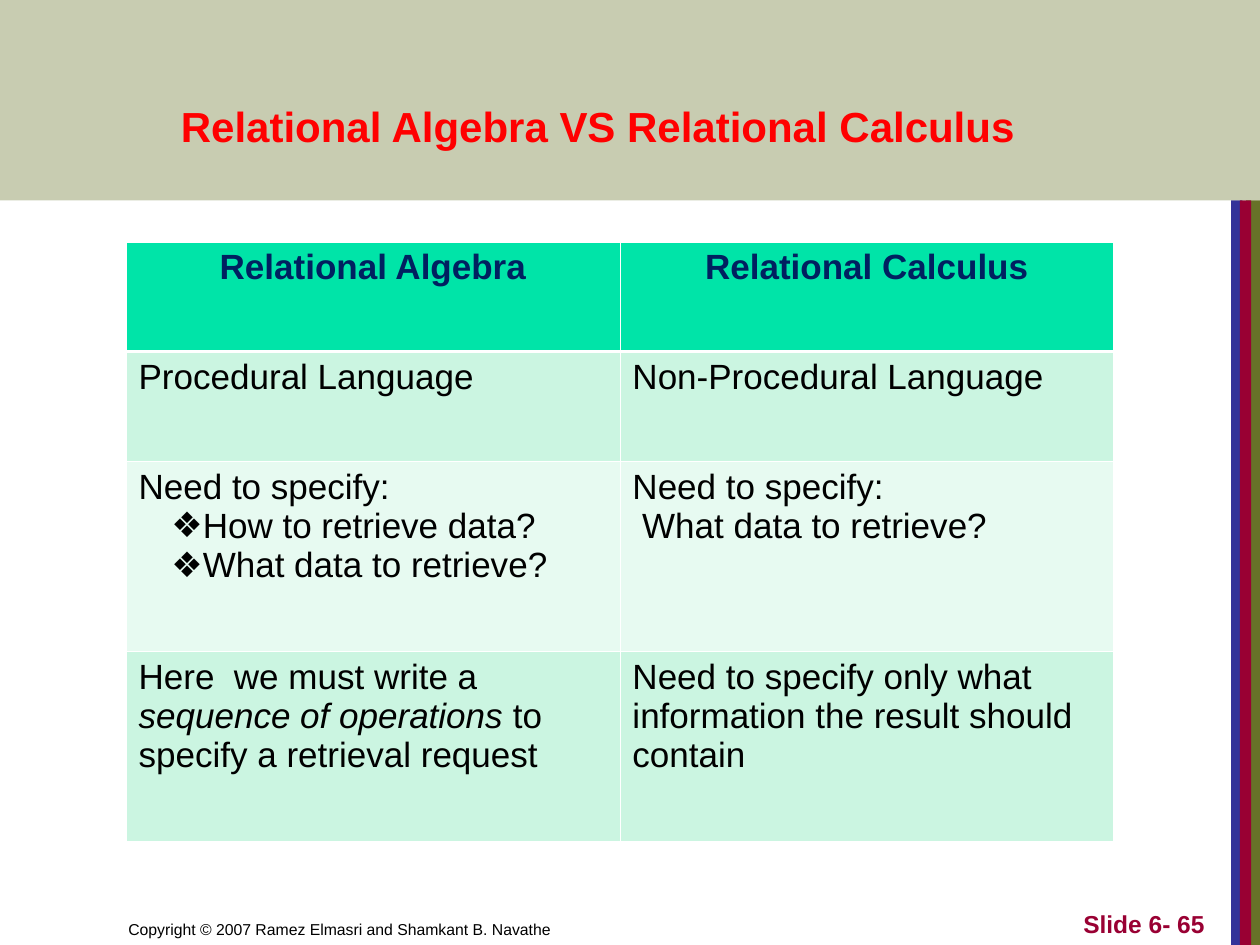
import pptx
import pptx.dml.color
import pptx.enum.shapes
import pptx.enum.text
import pptx.oxml.ns
import pptx.util
from lxml import etree

Inches, Pt = pptx.util.Inches, pptx.util.Pt
ALIGN, ANCHOR = pptx.enum.text.PP_ALIGN, pptx.enum.text.MSO_ANCHOR
qn = pptx.oxml.ns.qn

COLORS = {
    "white": "FFFFFF", "black": "000000", "red": "FF0000", "navy": "002060",
    "olive": "677228", "indigo": "333399", "crimson": "990033",
    "header": "00E4A8", "odd": "CBF5E1", "even": "E7FAF1",
}
TITLE = "Relational Algebra VS Relational Calculus"
COPYRIGHT = "Copyright © 2007 Ramez Elmasri and Shamkant B. Navathe"
SLIDE_NUMBER = "Slide 6- 65"
BULLET = "❖"

# A cell is a list of paragraphs; "*" marks italic, a leading bullet a list item.
ROWS = [
    (["Relational Algebra"], ["Relational Calculus"]),
    (["Procedural Language"], ["Non-Procedural Language"]),
    (["Need to specify:", BULLET + "How to retrieve data?",
      BULLET + "What data to retrieve?"],
     ["Need to specify:", " What data to retrieve?"]),
    (["Here  we must write a *sequence of operations* to specify a retrieval request"],
     ["Need to specify only what information the result should contain"]),
]
ROW_HEIGHTS = [0.87, 0.87, 1.51, 1.51]
COLUMN_WIDTH = 3.92
STRIPES = [("olive", 9.89, 0.11), ("indigo", 9.77, 0.09), ("crimson", 9.84, 0.09)]
BAND_HEIGHT = 1.59


def rgb(name):
    """Return the named colour."""
    return pptx.dml.color.RGBColor.from_string(COLORS[name])


def write(tf, paragraphs, size, color="black", bold=False, align=ALIGN.LEFT,
          anchor=ANCHOR.TOP):
    """Fill a text frame with formatted paragraphs."""
    tf.word_wrap = True
    tf.vertical_anchor = anchor
    for i, text in enumerate(paragraphs):
        p = tf.paragraphs[0] if i == 0 else tf.add_paragraph()
        p.alignment = align
        if text.startswith(BULLET):
            text = text[len(BULLET):]
            add_bullet(p)
        for j, part in enumerate(text.split("*")):
            r = p.add_run()
            r.text = part
            font = r.font
            font.name, font.size, font.bold = "Arial", Pt(size), bold
            font.italic = j % 2 == 1
            font.color.rgb = rgb(color)


def add_bullet(p):
    """Give a paragraph a hanging bullet."""
    pPr = p._p.get_or_add_pPr()
    pPr.set("marL", str(Inches(0.5)))
    pPr.set("indent", str(Inches(-0.24)))
    etree.SubElement(pPr, qn("a:buFont")).set("typeface", "Arial")
    etree.SubElement(pPr, qn("a:buChar")).set("char", BULLET)


def add_block(s, color, left, top, width, height, opacity=None):
    """Add a plain rectangle, translucent when an opacity in percent is given."""
    sp = s.shapes.add_shape(pptx.enum.shapes.MSO_SHAPE.RECTANGLE, Inches(left),
                            Inches(top), Inches(width), Inches(height))
    sp.shadow.inherit = False
    sp.fill.solid()
    sp.fill.fore_color.rgb = rgb(color)
    sp.line.fill.background()
    if opacity:
        clr = sp._element.spPr.find(qn("a:solidFill"))[0]
        etree.SubElement(clr, qn("a:alpha")).set("val", str(opacity * 1000))


def add_text(s, text, left, width, **fmt):
    """Add a footer text box."""
    sp = s.shapes.add_textbox(Inches(left), Inches(7), Inches(width), Inches(0.5))
    write(sp.text_frame, [text], anchor=ANCHOR.BOTTOM, **fmt)


def set_borders(cell, **widths):
    """Draw white cell borders of the given widths in points."""
    tcPr = cell._tc.get_or_add_tcPr()
    for side in "LRTB":
        ln = etree.SubElement(tcPr, qn("a:ln" + side))
        ln.set("w", str(Pt(widths.get(side, 0.45))))
        fill = etree.SubElement(ln, qn("a:solidFill"))
        etree.SubElement(fill, qn("a:srgbClr")).set("val", COLORS["white"])


def add_comparison(s):
    """Add the two-column comparison table."""
    table = s.shapes.add_table(len(ROWS), 2, Inches(1), Inches(1.92),
                               Inches(2 * COLUMN_WIDTH),
                               Inches(sum(ROW_HEIGHTS))).table
    for column in table.columns:
        column.width = Inches(COLUMN_WIDTH)
    for i, row in enumerate(ROWS):
        table.rows[i].height = Inches(ROW_HEIGHTS[i])
        for j, paragraphs in enumerate(row):
            cell = table.cell(i, j)
            set_borders(cell, **({"B": 1.47} if i == 0 else {"T": 1.47} if i == 1 else {}))
            cell.fill.solid()
            cell.fill.fore_color.rgb = rgb("header" if i == 0 else "odd" if i % 2 else "even")
            if i == 0:
                write(cell.text_frame, paragraphs, 20, "navy", True, ALIGN.CENTER)
            else:
                write(cell.text_frame, paragraphs, 20)


prs = pptx.Presentation()
prs.slide_width, prs.slide_height = Inches(10), Inches(7.5)
s = prs.slides.add_slide(prs.slide_layouts[5])

for color, left, width in STRIPES:
    add_block(s, color, left, BAND_HEIGHT, width, 7.5 - BAND_HEIGHT)
add_block(s, "olive", 0, 0, 10, BAND_HEIGHT, opacity=36)

title = s.shapes.title
title.left, title.top = Inches(0.83), Inches(0.75)
title.width, title.height = Inches(7.83), Inches(0.5)
write(title.text_frame, [TITLE], 24, "red", True, ALIGN.CENTER)
title.text_frame.auto_size = pptx.enum.text.MSO_AUTO_SIZE.NONE
s.shapes._spTree.append(title._element)

add_text(s, COPYRIGHT, 0.92, 4.92, size=9)
add_text(s, SLIDE_NUMBER, 7.58, 2.08, size=14, color="crimson", bold=True, align=ALIGN.RIGHT)
add_comparison(s)

prs.save("out.pptx")
